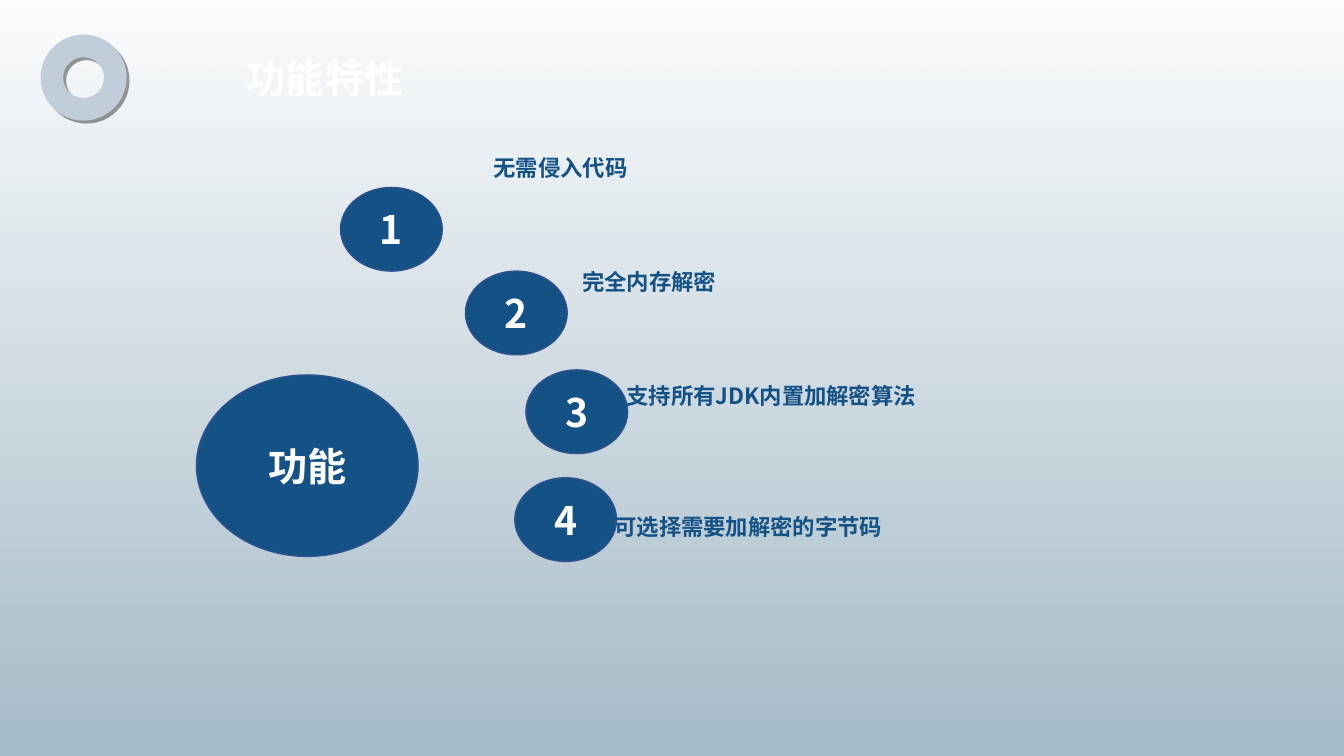
from lxml.etree import SubElement
from pptx import Presentation
from pptx.dml.color import RGBColor
from pptx.enum.shapes import MSO_SHAPE
from pptx.enum.text import MSO_ANCHOR, PP_ALIGN
from pptx.oxml.ns import qn
from pptx.util import Inches, Pt

FONT = "Noto Sans CJK SC"
NAVY, NAVY_EDGE, WHITE = "145184", "2F528F", "FFFFFF"
STEEL, SILVER = "487690", "C1CDD9"


def color(hex_code):
    return RGBColor.from_string(hex_code)


def set_alpha(color_element, percent):
    SubElement(color_element, qn("a:alpha"), val=str(percent * 1000))


def write(shape, text, size=16, ink=NAVY, align=PP_ALIGN.LEFT,
          anchor=MSO_ANCHOR.TOP):
    frame = shape.text_frame
    frame.word_wrap = True
    frame.vertical_anchor = anchor
    paragraph = frame.paragraphs[0]
    paragraph.alignment = align
    run = paragraph.add_run()
    run.text = text
    run.font.size = Pt(size)
    run.font.bold = True
    run.font.color.rgb = color(ink)
    run.font.name = FONT
    SubElement(run.font._element, qn("a:ea"), typeface=FONT)


class FeatureSlide:
    def __init__(self, deck):
        self.slide = deck.slides.add_slide(deck.slide_layouts[5])
        self.shapes = self.slide.shapes

    def preset(self, kind, box, fill, edge):
        shape = self.shapes.add_shape(kind, *map(Inches, box))
        shape.shadow.inherit = False
        shape.fill.solid()
        shape.fill.fore_color.rgb = color(fill)
        shape.line.color.rgb = color(edge)
        shape.line.width = Pt(1)
        return shape

    def backdrop(self, width, height):
        sheet = self.preset(MSO_SHAPE.RECTANGLE, (0, 0, width, height), WHITE, WHITE)
        sheet.line.fill.background()
        sheet.fill.gradient()
        sheet.fill.gradient_angle = 90
        for stop, opacity in zip(sheet.fill.gradient_stops, (50, 2)):
            stop.color.rgb = color(STEEL)
        for tint, opacity in zip(sheet._element.spPr.iter(qn("a:srgbClr")), (50, 2)):
            set_alpha(tint, opacity)
        # Send behind the title
        self.shapes._spTree.insert(2, sheet._element)

    def title(self, text, box):
        heading = self.shapes.title
        heading.left, heading.top, heading.width, heading.height = map(Inches, box)
        write(heading, text, size=28, ink=WHITE, anchor=MSO_ANCHOR.MIDDLE)

    def ring(self, box):
        donut = self.preset(MSO_SHAPE.DONUT, box, SILVER, SILVER)
        donut.adjustments[0] = 0.25
        effects = donut._element.spPr.find(qn("a:effectLst"))
        shadow = SubElement(effects, qn("a:outerShdw"), blurRad="0",
                            dist=str(Pt(3)), dir="2700000", algn="tl",
                            rotWithShape="0")
        set_alpha(SubElement(shadow, qn("a:srgbClr"), val="000000"), 40)

    def bubble(self, text, box):
        oval = self.preset(MSO_SHAPE.OVAL, box, NAVY, NAVY_EDGE)
        write(oval, text, size=28, ink=WHITE, align=PP_ALIGN.CENTER,
              anchor=MSO_ANCHOR.MIDDLE)

    def label(self, text, box):
        write(self.shapes.add_textbox(*map(Inches, box)), text)


def main():
    deck = Presentation()
    deck.slide_width, deck.slide_height = Inches(13.34), Inches(7.5)
    page = FeatureSlide(deck)

    # Backdrop and heading
    page.backdrop(13.34, 7.5)
    page.title("功能特性", (2.35, 0.4, 8, 0.75))
    page.ring((0.41, 0.35, 0.84, 0.84))

    # Hub and numbered features: bubble position, label position and width
    page.bubble("功能", (1.95, 3.72, 2.2, 1.8))
    features = [
        ("无需侵入代码", (3.38, 1.86), (4.8, 1.48), 1.88),
        ("完全内存解密", (4.62, 2.69), (5.68, 2.61), 1.88),
        ("支持所有JDK内置加解密算法", (5.22, 3.67), (6.12, 3.74), 3.35),
        ("可选择需要加解密的字节码", (5.11, 4.74), (6, 5.04), 3.59),
    ]
    for number, (feature, bubble_at, label_at, label_width) in enumerate(features, 1):
        page.bubble(str(number), (*bubble_at, 1.01, 0.83))
        page.label(feature, (*label_at, label_width, 0.37))

    deck.save("out.pptx")


if __name__ == "__main__":
    main()
